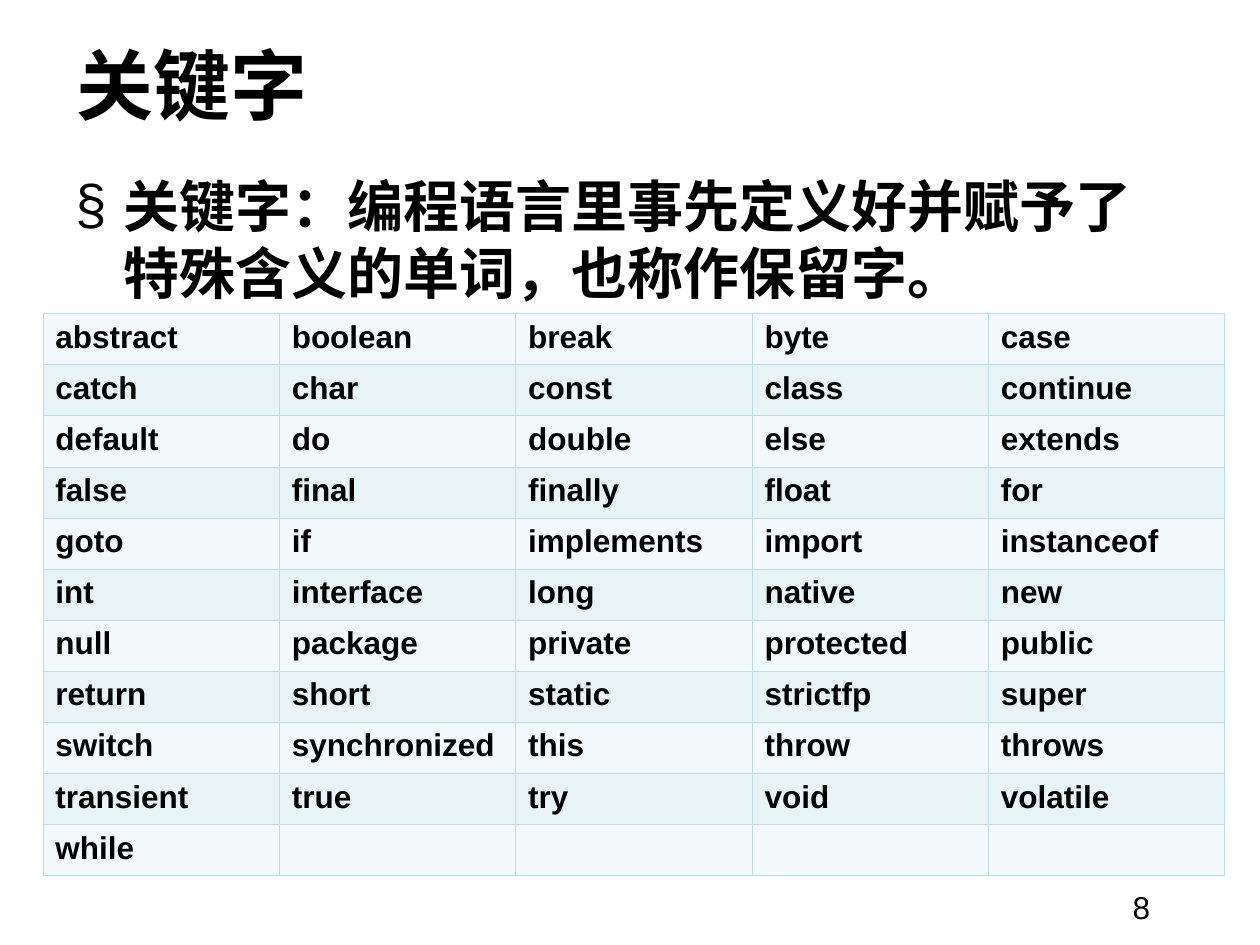
"""Build a slide that defines keywords and lists them in a table."""
from lxml.etree import SubElement
from pptx import Presentation
from pptx.dml.color import RGBColor
from pptx.enum.text import MSO_ANCHOR
from pptx.oxml.ns import qn
from pptx.util import Inches, Pt


def rgb(value):
    return RGBColor.from_string(value)


def put(tf, text, size=18, bold=True, anchor=MSO_ANCHOR.TOP):
    tf.word_wrap = True
    tf.vertical_anchor = anchor
    p = tf.paragraphs[0]
    r = p.add_run()
    r.text = text
    r.font.name = "Arial"
    r.font.size = Pt(size)
    r.font.bold = bold
    r.font.color.rgb = rgb("000000")
    return p


prs = Presentation()
prs.slide_width, prs.slide_height = Inches(10), Inches(7.5)
s = prs.slides.add_slide(prs.slide_layouts[6])

number = s.shapes.add_textbox(Inches(8.89), Inches(7), Inches(1.34), Inches(0.4))
put(number.text_frame, "8", bold=False)

title = s.shapes.add_textbox(Inches(0.51), Inches(0.28), Inches(8.2), Inches(0.77))
put(title.text_frame, "关键字", size=44, anchor=MSO_ANCHOR.MIDDLE)

keywords = """
abstract boolean break byte case
catch char const class continue
default do double else extends
false final finally float for
goto if implements import instanceof
int interface long native new
null package private protected public
return short static strictfp super
switch synchronized this throw throws
transient true try void volatile
while
""".split()
cols = 5
rows = -(-len(keywords) // cols)
table = s.shapes.add_table(rows, cols, Inches(0.34), Inches(2.49),
                           Inches(9.38), Inches(4.46)).table
table.first_row = table.horz_banding = False
for i, cell in enumerate(table.iter_cells()):
    tcPr = cell._tc.get_or_add_tcPr()
    for side in ("a:lnL", "a:lnR", "a:lnT", "a:lnB"):
        ln = SubElement(tcPr, qn(side), w=str(Pt(0.45)))
        fill = SubElement(ln, qn("a:solidFill"))
        SubElement(fill, qn("a:srgbClr"), val="BBE0E3")
    cell.fill.solid()
    cell.fill.fore_color.rgb = rgb("E7F3F4" if i // cols % 2 else "F3F9FA")
    if i < len(keywords):
        put(cell.text_frame, keywords[i])

body = s.shapes.add_textbox(Inches(0.5), Inches(1.31), Inches(9), Inches(1.34))
p = put(body.text_frame, "关键字：编程语言里事先定义好并赋予了特殊含义的单词，也称作保留字。", size=32)
p.space_before = Pt(8)
pPr = p._p.get_or_add_pPr()
pPr.set("marL", str(Inches(0.38)))
pPr.set("indent", str(-Inches(0.38)))
color = SubElement(pPr, qn("a:buClr"))
SubElement(color, qn("a:srgbClr"), val="000000")
SubElement(pPr, qn("a:buFont"), typeface="Arial")
SubElement(pPr, qn("a:buChar"), char="§")

prs.save("out.pptx")
